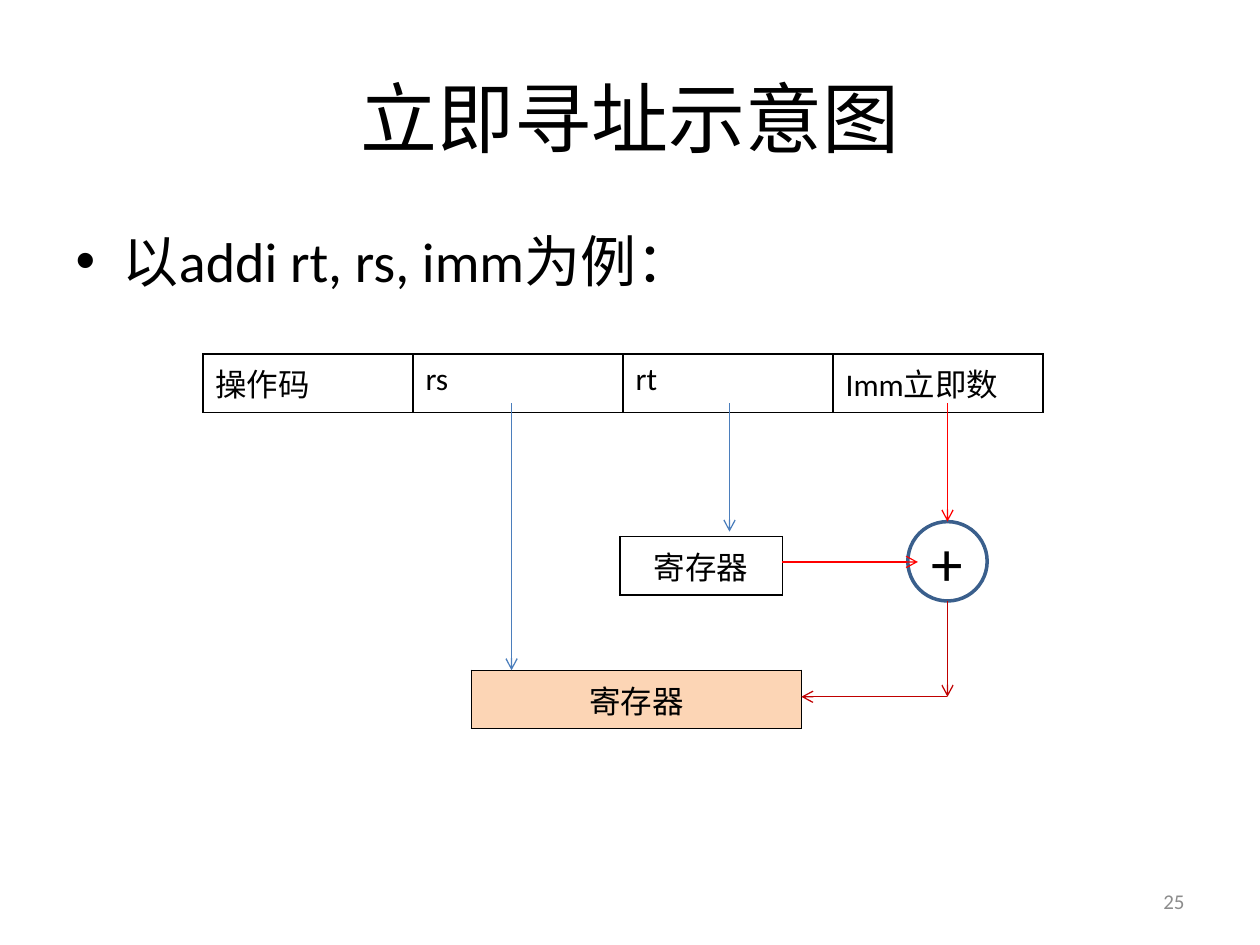
from dataclasses import dataclass

from lxml.etree import SubElement
from pptx import Presentation
from pptx.dml.color import RGBColor
from pptx.enum.shapes import MSO_CONNECTOR, MSO_SHAPE
from pptx.enum.text import MSO_ANCHOR, PP_ALIGN
from pptx.oxml.ns import qn
from pptx.util import Inches, Pt


@dataclass(frozen=True)
class Theme:
    font: str = "Calibri"
    ink: str = "000000"
    muted: str = "8C8C8C"
    target: str = "FCD5B5"
    address: str = "4B7EBC"
    operand: str = "FF0000"
    result: str = "C00000"
    adder: str = "3A5F8C"
    title_size: int = 44
    body_size: int = 32
    adder_size: int = 36
    cell_size: int = 18
    number_size: int = 12
    border: float = 1
    arrow: float = 0.75
    ring: float = 2


THEME = Theme()


def apply(target, values):
    for name, value in values.items():
        setattr(target, name, value)


def place(part, box):
    apply(part, dict(zip(("left", "top", "width", "height"), map(Inches, box))))


def write(frame, wording, size, color=THEME.ink, align=None):
    paragraph = frame.paragraphs[0]
    paragraph.alignment = align
    run = paragraph.add_run()
    run.text = wording
    apply(run.font, {"name": THEME.font, "size": Pt(size), "bold": False})
    run.font.color.rgb = RGBColor.from_string(color)


def add_title(slide, box):
    title = slide.shapes.title
    place(title, box)
    write(title.text_frame, "立即寻址示意图", THEME.title_size, align=PP_ALIGN.CENTER)


def add_example(slide, box):
    example = slide.placeholders[1]
    place(example, box)
    write(example.text_frame, "以addi rt, rs, imm为例：", THEME.body_size)


def add_page_number(slide, box):
    number = slide.shapes.add_textbox(*map(Inches, box)).text_frame
    apply(number, {"word_wrap": True, "vertical_anchor": MSO_ANCHOR.MIDDLE})
    write(number, "25", THEME.number_size, THEME.muted, PP_ALIGN.RIGHT)


def outline_cell(cell):
    properties = cell._tc.get_or_add_tcPr()
    for side in ("lnL", "lnR", "lnT", "lnB"):
        edge = SubElement(properties, qn(f"a:{side}"), w=str(Pt(THEME.border)))
        fill = SubElement(edge, qn("a:solidFill"))
        SubElement(fill, qn("a:srgbClr"), val=THEME.ink)


def add_fields(slide, box, labels, align=None, fill=None):
    table = slide.shapes.add_table(1, len(labels), *map(Inches, box)).table
    apply(table, {"first_row": False, "horz_banding": False})
    for cell, label in zip(table.iter_cells(), labels):
        outline_cell(cell)
        if fill:
            cell.fill.solid()
            cell.fill.fore_color.rgb = RGBColor.from_string(fill)
        else:
            cell.fill.background()
        write(cell.text_frame, label, THEME.cell_size, align=align)


def add_adder(slide, box):
    adder = slide.shapes.add_shape(MSO_SHAPE.OVAL, *map(Inches, box))
    adder.shadow.inherit = False
    adder.fill.background()
    adder.line.color.rgb = RGBColor.from_string(THEME.adder)
    adder.line.width = Pt(THEME.ring)
    margins = ("margin_left", "margin_right", "margin_top", "margin_bottom")
    apply(adder.text_frame, {**dict.fromkeys(margins, 0),
                             "vertical_anchor": MSO_ANCHOR.MIDDLE, "word_wrap": False})
    write(adder.text_frame, "+", THEME.adder_size, align=PP_ALIGN.CENTER)


def add_arrow(slide, start, end, color):
    arrow = slide.shapes.add_connector(
        MSO_CONNECTOR.STRAIGHT, *map(Inches, (*start, *end)))
    arrow.line.color.rgb = RGBColor.from_string(color)
    arrow.line.width = Pt(THEME.arrow)
    SubElement(arrow.line._get_or_add_ln(), qn("a:tailEnd"), type="arrow")
    SubElement(arrow._element.spPr, qn("a:effectLst"))


def add_data_path(slide, box):
    left, top, width, height = box
    row = 0.41
    rs_x, rt_x, imm_x = (left + offset for offset in (2.45, 4.18, 5.91))
    fields_bottom = top + 0.39
    source_left, source_top, source_width = left + 3.31, top + 1.45, 1.29
    target_left, target_top, target_width = left + 2.13, top + height - row, 2.62
    diameter = 0.63
    adder_left, adder_top = imm_x - diameter / 2, top + 1.33
    adder_bottom = adder_top + diameter
    sum_y = target_top + 0.21
    source_y = source_top + 0.2

    add_fields(slide, (left, top, width, row), ("操作码", "rs", "rt", "Imm立即数"))
    add_fields(slide, (source_left, source_top, source_width, row),
               ("寄存器",), PP_ALIGN.CENTER)
    add_fields(slide, (target_left, target_top, target_width, row),
               ("寄存器",), PP_ALIGN.CENTER, THEME.target)
    add_adder(slide, (adder_left, adder_top, diameter, diameter))

    routes = (
        ((rs_x, fields_bottom), (rs_x, target_top), THEME.address),
        ((rt_x, fields_bottom), (rt_x, source_top - 0.04), THEME.address),
        ((source_left + source_width, source_y), (adder_left + 0.08, source_y), THEME.operand),
        ((imm_x, fields_bottom), (imm_x, adder_top), THEME.operand),
        ((imm_x, adder_bottom), (imm_x, sum_y), THEME.result),
        ((imm_x, sum_y), (target_left + target_width, sum_y), THEME.result),
    )
    for start, end, color in routes:
        add_arrow(slide, start, end, color)


def main():
    deck = Presentation()
    apply(deck, {"slide_width": Inches(10), "slide_height": Inches(7.5)})
    slide = deck.slides.add_slide(deck.slide_layouts[1])
    add_title(slide, (0.5, 0.3, 9, 1.25))
    add_example(slide, (0.5, 1.75, 9, 0.66))
    add_data_path(slide, (1.61, 2.81, 6.67, 2.92))
    add_page_number(slide, (7.17, 6.95, 2.33, 0.4))
    deck.save("out.pptx")


if __name__ == "__main__":
    main()
